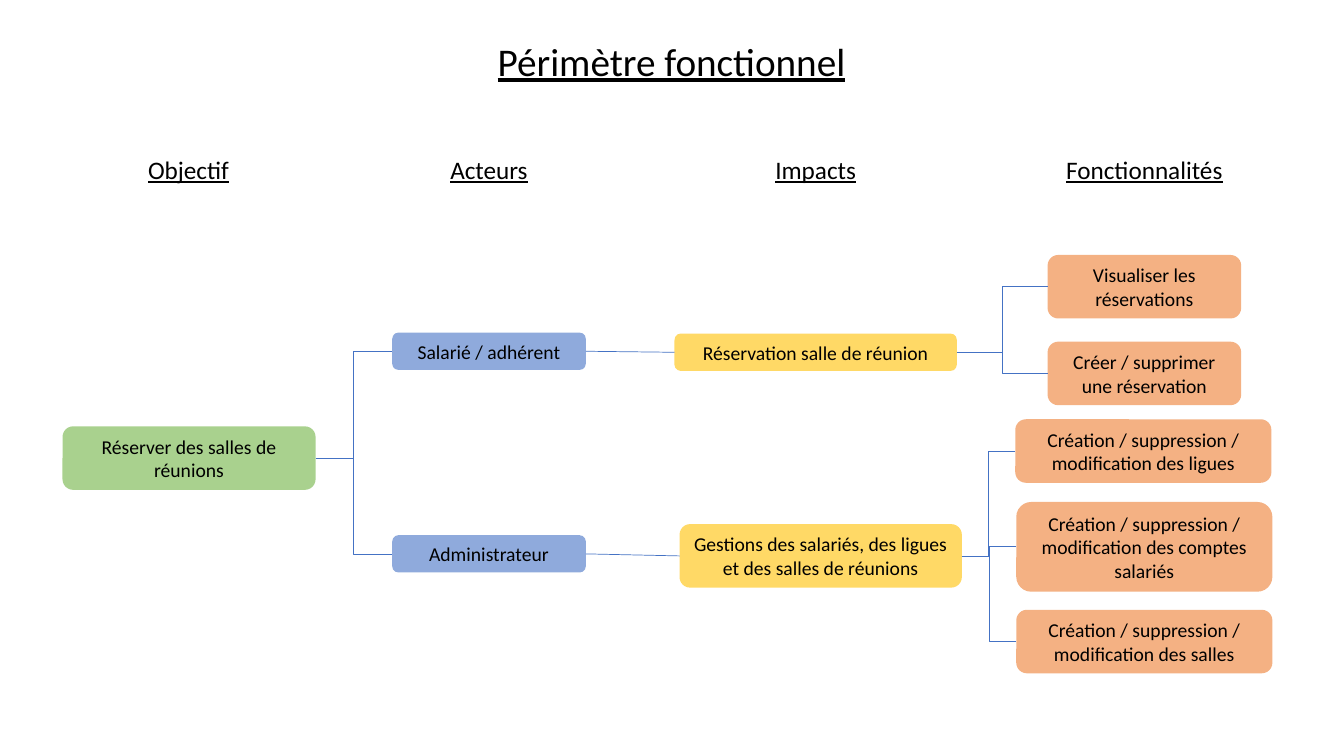
from lxml.etree import SubElement
from pptx import Presentation
from pptx.dml.color import RGBColor
from pptx.enum.shapes import MSO_CONNECTOR, MSO_SHAPE
from pptx.enum.text import MSO_ANCHOR, MSO_AUTO_SIZE, PP_ALIGN
from pptx.oxml.ns import qn
from pptx.util import Inches, Pt

COLORS = {
    "text": "000000",
    "line": "4472C4",
    "objective": "A9D18E",
    "actor": "8FAADC",
    "impact": "FFD966",
    "feature": "F4B183",
}
FRAME_FORMAT = {"word_wrap": True, "auto_size": MSO_AUTO_SIZE.SHAPE_TO_FIT_TEXT}
LEFT_SITE, RIGHT_SITE = 1, 3

HEADINGS = [
    ("Objectif", (1.3, 1.48, 1.14, 0.4)),
    ("Acteurs", (4.28, 1.48, 1.14, 0.4)),
    ("Impacts", (7.52, 1.48, 1.14, 0.4)),
    ("Fonctionnalités", (10.33, 1.48, 2.04, 0.4)),
]
NODES = {
    "booking": ("objective", "Réserver des salles de réunions", (0.62, 4.23, 2.51, 0.63)),
    "employee": ("actor", "Salarié / adhérent", (3.89, 3.3, 1.92, 0.37)),
    "admin": ("actor", "Administrateur", (3.89, 5.31, 1.92, 0.37)),
    "reservation": ("impact", "Réservation salle de réunion", (6.69, 3.31, 2.8, 0.37)),
    "management": (
        "impact",
        "Gestions des salariés, des ligues et des salles de réunions",
        (6.74, 5.2, 2.8, 0.63),
    ),
    "view": ("feature", "Visualiser les réservations", (10.39, 2.53, 1.92, 0.63)),
    "create": ("feature", "Créer / supprimer une réservation", (10.39, 3.39, 1.92, 0.63)),
    "leagues": (
        "feature",
        "Création / suppression / modification des ligues",
        (10.07, 4.16, 2.54, 0.63),
    ),
    "accounts": (
        "feature",
        "Création / suppression / modification des comptes salariés",
        (10.08, 4.98, 2.54, 0.89),
    ),
    "rooms": (
        "feature",
        "Création / suppression / modification des salles",
        (10.08, 6.05, 2.54, 0.63),
    ),
}
BRANCHES = {
    "booking": ["employee", "admin"],
    "employee": ["reservation"],
    "admin": ["management"],
    "reservation": ["view", "create"],
    "management": ["leagues", "accounts", "rooms"],
}


def write_text(shape, text, size, underline=False, anchor=MSO_ANCHOR.TOP):
    """Write one centred paragraph in a shape."""
    frame = shape.text_frame
    for name, value in {**FRAME_FORMAT, "vertical_anchor": anchor}.items():
        setattr(frame, name, value)
    para = frame.paragraphs[0]
    para.alignment = PP_ALIGN.CENTER
    span = para.add_run()
    span.text = text
    font_format = {"name": "Calibri", "size": Pt(size), "underline": underline}
    for name, value in font_format.items():
        setattr(span.font, name, value)
    span.font.color.rgb = RGBColor.from_string(COLORS["text"])


def add_heading(page, box, text, size):
    """Place an underlined heading in the given box."""
    heading = page.shapes.add_textbox(*map(Inches, box))
    write_text(heading, text, size, underline=True)


def add_node(page, box, text, color):
    """Place a rounded, filled node in the given box."""
    node = page.shapes.add_shape(MSO_SHAPE.ROUNDED_RECTANGLE, *map(Inches, box))
    node.shadow.inherit = False
    node.fill.solid()
    node.fill.fore_color.rgb = RGBColor.from_string(COLORS[color])
    node.line.fill.background()
    write_text(node, text, 14, anchor=MSO_ANCHOR.MIDDLE)
    return node


def add_link(page, parent, child, kind):
    """Join the right side of a parent to the left side of a child."""
    link = page.shapes.add_connector(kind, 0, 0, 0, 0)
    link.begin_connect(parent, RIGHT_SITE)
    link.end_connect(child, LEFT_SITE)
    link.line.color.rgb = RGBColor.from_string(COLORS["line"])
    link.line.width = Pt(0.5)
    SubElement(link.element.spPr, qn("a:effectLst"))


def add_impact_map(page):
    """Draw the nodes of the map and the links between them."""
    nodes = {
        key: add_node(page, box, text, color)
        for key, (color, text, box) in NODES.items()
    }
    for parent, children in BRANCHES.items():
        kind = MSO_CONNECTOR.ELBOW if len(children) > 1 else MSO_CONNECTOR.STRAIGHT
        for child in children:
            add_link(page, nodes[parent], nodes[child], kind)


def main():
    """Build the functional scope slide and save it."""
    deck = Presentation()
    deck.slide_width, deck.slide_height = Inches(13.33), Inches(7.5)
    page = deck.slides.add_slide(deck.slide_layouts[6])
    add_heading(page, (4.72, 0.32, 3.88, 0.57), "Périmètre fonctionnel", 28)
    for text, box in HEADINGS:
        add_heading(page, box, text, 18)
    add_impact_map(page)
    deck.save("out.pptx")


if __name__ == "__main__":
    main()
